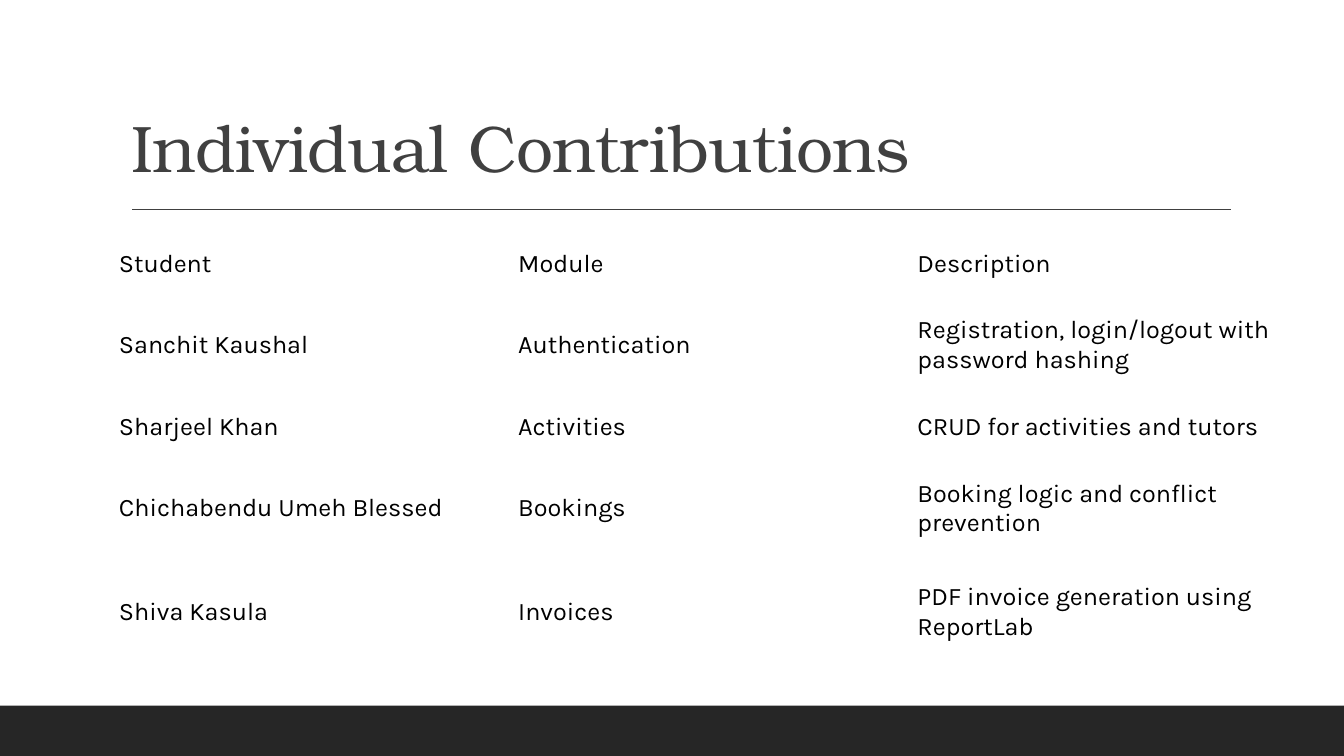
from typing import Any, NamedTuple

from lxml import etree
from pptx import Presentation
from pptx import util as u
from pptx.dml.color import RGBColor
from pptx.enum import shapes, text
from pptx.oxml.ns import qn

HUES = {"band": "262626", "title": "404040", "body": "000000"}
TITLE = {"name": "TeX Gyre Bonum", "size": u.Pt(47), "bold": False}
BODY = {"name": "Karla", "size": u.Pt(18), "bold": False}


class Entry(NamedTuple):
    student: str
    module: str
    detail: str
    height: float


ENTRIES = [
    Entry("Student", "Module", "Description", 0.59),
    Entry("Sanchit Kaushal", "Authentication",
          "Registration, login/logout with password hashing", 1.03),
    Entry("Sharjeel Khan", "Activities", "CRUD for activities and tutors", 0.59),
    Entry("Chichabendu Umeh Blessed", "Bookings",
          "Booking logic and conflict prevention", 1.03),
    Entry("Shiva Kasula", "Invoices", "PDF invoice generation using ReportLab", 1.03),
]


def hue(name: str) -> RGBColor:
    return RGBColor.from_string(HUES[name])


def assign(target: Any, values: dict[str, Any]) -> None:
    for key, value in values.items():
        setattr(target, key, value)


def write(frame: Any, words: str, form: dict[str, Any], tint: str) -> Any:
    """Fill a text frame with one formatted run and return that run."""
    line = frame.paragraphs[0]
    line.alignment = text.PP_ALIGN.LEFT
    run = line.add_run()
    run.text = words
    assign(run.font, form)
    run.font.color.rgb = hue(tint)
    return run


def add_band(slide: Any) -> None:
    band = slide.shapes.add_shape(
        shapes.MSO_SHAPE.RECTANGLE, 0, u.Inches(7), u.Inches(13.33), u.Inches(0.5))
    band.shadow.inherit = False
    band.fill.solid()
    band.fill.fore_color.rgb = hue("band")
    band.line.fill.background()


def add_rule(slide: Any) -> None:
    rule = slide.shapes.add_connector(
        shapes.MSO_CONNECTOR.STRAIGHT,
        u.Inches(1.31), u.Inches(2.08), u.Inches(12.21), u.Inches(2.08))
    rule.line.color.rgb = hue("title")
    rule.line.width = u.Pt(1)
    etree.SubElement(rule._element.spPr, qn("a:effectLst"))


def set_title(slide: Any, words: str) -> None:
    title = slide.shapes.title
    assign(title, {"left": u.Inches(1.2), "top": u.Inches(0.31),
                   "width": u.Inches(11), "height": u.Inches(1.59)})
    frame = title.text_frame
    assign(frame, {"word_wrap": True, "auto_size": text.MSO_AUTO_SIZE.NONE,
                   "vertical_anchor": text.MSO_ANCHOR.BOTTOM})
    run = write(frame, words, TITLE, "title")
    run._r.get_or_add_rPr().set("spc", "-50")
    frame.paragraphs[0].line_spacing = 0.9


def add_grid(slide: Any, entries: list[Entry]) -> None:
    total = sum(entry.height for entry in entries)
    grid = slide.shapes.add_table(
        len(entries), 3, u.Inches(1.08), u.Inches(2.32),
        u.Inches(11.88), u.Inches(total)).table
    assign(grid, {"first_row": False, "horz_banding": False})
    for row, entry in zip(grid.rows, entries):
        row.height = u.Inches(entry.height)
        for cell, words in zip(row.cells, (entry.student, entry.module, entry.detail)):
            cell.fill.background()
            cell.vertical_anchor = text.MSO_ANCHOR.MIDDLE
            write(cell.text_frame, words, BODY, "body")


def main() -> None:
    deck = Presentation()
    assign(deck, {"slide_width": u.Inches(13.33), "slide_height": u.Inches(7.5)})
    slide = deck.slides.add_slide(deck.slide_layouts[5])
    add_band(slide)
    add_rule(slide)
    set_title(slide, "Individual Contributions")
    add_grid(slide, ENTRIES)
    deck.save("out.pptx")


if __name__ == "__main__":
    main()
